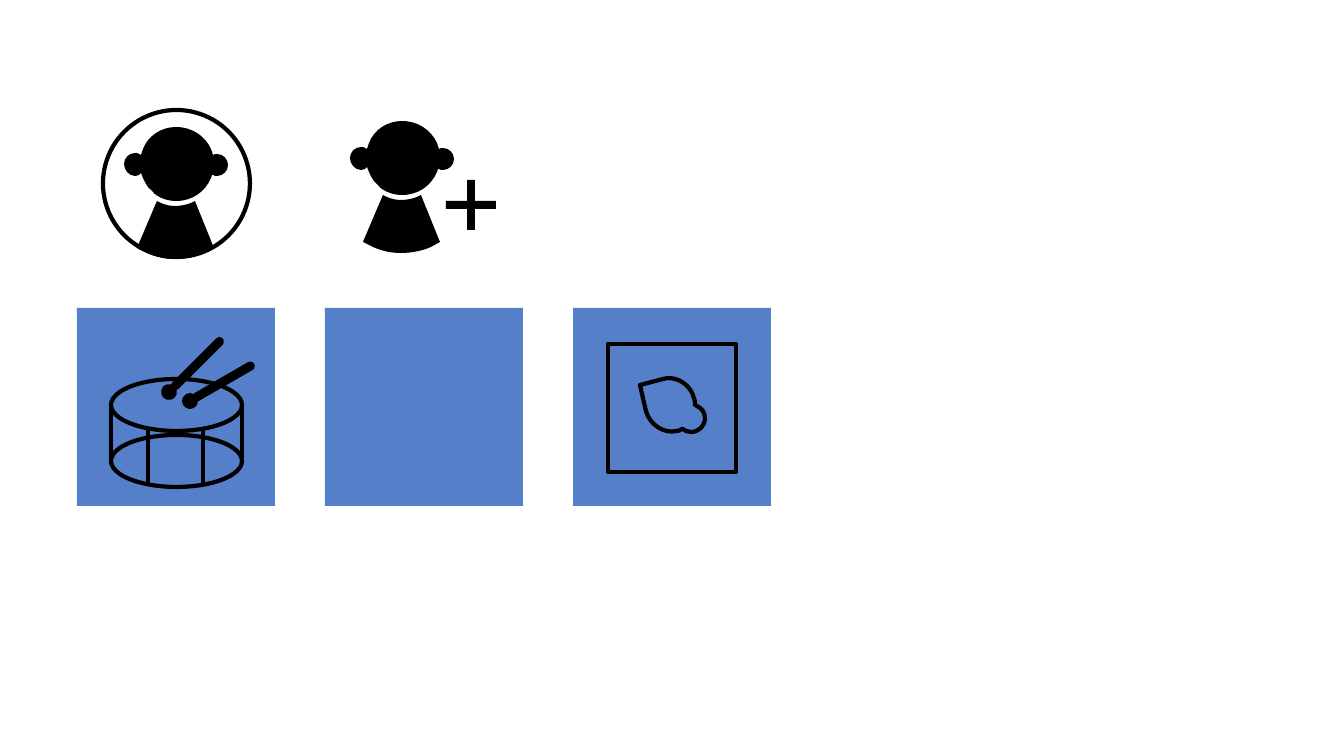
import pptx
import pptx.dml.color
import pptx.enum.shapes
import pptx.oxml.ns
import pptx.util
import lxml.etree

COLORS = {"ink": "000000", "tile": "4472C4"}
SLIDE_SIZE = (1344, 756)
LINE_POINTS = 3

HEAD = [
    (52, 0), (68, 0, 81, 9, 87, 22), (89, 28), (90, 27, 92, 27, 93, 27),
    (99, 27, 104, 32, 104, 38), (104, 44, 99, 49, 93, 49),
    (92, 49, 90, 49, 89, 48), (88, 48), (87, 51), (81, 65, 68, 74, 52, 74),
    (45, 74, 38, 72, 32, 68), (31, 67), (30, 67), (30, 66), (24, 60),
    (22, 57, 20, 54, 19, 51), (17, 46), (15, 48), (14, 48, 13, 49, 11, 49),
    (5, 49, 0, 43, 0, 37), (0, 31, 5, 26, 11, 26), (13, 26, 14, 26, 15, 27),
    (17, 28), (19, 22), (24, 9, 37, 0, 52, 0),
]
BODY = [
    (33, 74), (37, 76), (42, 78, 46, 79, 51, 79), (56, 79, 62, 78, 67, 76),
    (71, 74), (90, 121), (81, 126), (72, 130, 61, 132, 51, 132),
    (41, 132, 32, 130, 23, 126), (13, 121),
]
LEAF = [
    (28, 0), (40, 0, 51, 8, 54, 20), (55, 22, 55, 24, 55, 26), (55, 27),
    (57, 28), (62, 30, 65, 35, 65, 40), (65, 48, 59, 54, 51, 54),
    (49, 54, 48, 54, 46, 53), (43, 51), (42, 51), (40, 52, 39, 53, 37, 53),
    (24, 56, 10, 47, 6, 33), (0, 7), (23, 1), (25, 0, 26, 0, 28, 0),
]
RING = (103, 110, 147, 147)
PLUS_BAR = (446, 201, 50, 8)
PLUS_ANGLES = (0, 90)
PERSON_ORIGINS = {"ringed": (124, 127), "added": (350, 121)}
TILE_LEFTS, TILE_TOP, TILE_SIDE = (77, 325, 573), 308, 198
DRUM_LEFT, DRUM_WIDTH, DRUM_HEIGHT = 111, 131, 52
DRUM_TOPS = (379, 435)
DRUM_SIDES = [(111, 408, 461), (242, 405, 458), (148, 430, 486), (203, 430, 486)]
DRUMSTICKS = [
    {"angle": 225, "tip": (161, 384, 16, 16), "handle": (193, 328, 9, 71)},
    {"angle": 240, "tip": (182, 393, 16, 16), "handle": (219, 346, 9, 71)},
]
FRAME = (608, 344, 128, 128)
LEAF_ORIGIN = (640, 378)

KIND = pptx.enum.shapes.MSO_SHAPE
qn = pptx.oxml.ns.qn


def px(value):
    return pptx.util.Emu(round(value * 914400 / 100.8))


def color(name):
    return pptx.dml.color.RGBColor.from_string(COLORS[name])


def style(shape, fill=None, opacity=100):
    shape.shadow.inherit = False
    if fill is None:
        shape.fill.background()
        shape.line.color.rgb = color("ink")
        shape.line.width = pptx.util.Pt(LINE_POINTS)
        return
    shape.fill.solid()
    shape.fill.fore_color.rgb = color(fill)
    shape.line.fill.background()
    if opacity < 100:
        tint = shape._element.spPr.find(".//" + qn("a:srgbClr"))
        alpha = lxml.etree.SubElement(tint, qn("a:alpha"))
        alpha.set("val", str(opacity * 1000))


def add_preset(shapes, kind, box, fill=None, angle=0, opacity=100):
    shape = shapes.add_shape(kind, *map(px, box))
    shape.rotation = angle
    style(shape, fill, opacity)
    return shape


def bend_segments(shape, outline):
    lines = iter(list(shape._element.iter(qn("a:lnTo"))))
    for segment in outline[1:]:
        parts = [next(lines) for _ in range(len(segment) // 2)]
        if len(parts) == 1:
            continue
        curve = lxml.etree.Element(qn("a:cubicBezTo"))
        parts[0].addprevious(curve)
        for part in parts:
            curve.append(part[0])
            part.getparent().remove(part)


def add_outline(shapes, outline, origin, fill=None):
    left, top = origin
    points = [(px(left + segment[i]), px(top + segment[i + 1]))
              for segment in outline for i in range(0, len(segment), 2)]
    builder = shapes.build_freeform(*points[0])
    builder.add_line_segments(points[1:], close=True)
    shape = builder.convert_to_shape()
    bend_segments(shape, outline)
    style(shape, fill)


def add_line(shapes, x, top, bottom):
    line = shapes.add_connector(pptx.enum.shapes.MSO_CONNECTOR.STRAIGHT,
                                px(x), px(top), px(x), px(bottom))
    line.line.color.rgb = color("ink")
    line.line.width = pptx.util.Pt(LINE_POINTS)
    lxml.etree.SubElement(line._element.spPr, qn("a:effectLst"))


def add_person(shapes, origin):
    for outline in (BODY, HEAD):
        add_outline(shapes, outline, origin, fill="ink")


def add_drum(shapes):
    for top in DRUM_TOPS:
        add_preset(shapes, KIND.OVAL, (DRUM_LEFT, top, DRUM_WIDTH, DRUM_HEIGHT))
    for side in DRUM_SIDES:
        add_line(shapes, *side)
    for stick in DRUMSTICKS:
        add_preset(shapes, KIND.OVAL, stick["tip"], fill="ink", angle=stick["angle"])
        handle = add_preset(shapes, KIND.ROUNDED_RECTANGLE, stick["handle"],
                            fill="ink", angle=stick["angle"])
        handle.adjustments[0] = 0.5


def main():
    presentation = pptx.Presentation()
    presentation.slide_width, presentation.slide_height = map(px, SLIDE_SIZE)
    slide = presentation.slides.add_slide(presentation.slide_layouts[6])

    ringed = slide.shapes.add_group_shape().shapes
    add_preset(ringed, KIND.OVAL, RING)
    add_person(ringed, PERSON_ORIGINS["ringed"])

    added = slide.shapes.add_group_shape().shapes
    for angle in PLUS_ANGLES:
        add_preset(added, KIND.RECTANGLE, PLUS_BAR, fill="ink", angle=angle)
    add_person(added, PERSON_ORIGINS["added"])

    for left in TILE_LEFTS:
        add_preset(slide.shapes, KIND.RECTANGLE, (left, TILE_TOP, TILE_SIDE, TILE_SIDE),
                   fill="tile", opacity=90)

    add_drum(slide.shapes.add_group_shape().shapes)
    add_preset(slide.shapes, KIND.RECTANGLE, FRAME)
    add_outline(slide.shapes, LEAF, LEAF_ORIGIN)
    presentation.save("out.pptx")


if __name__ == "__main__":
    main()
